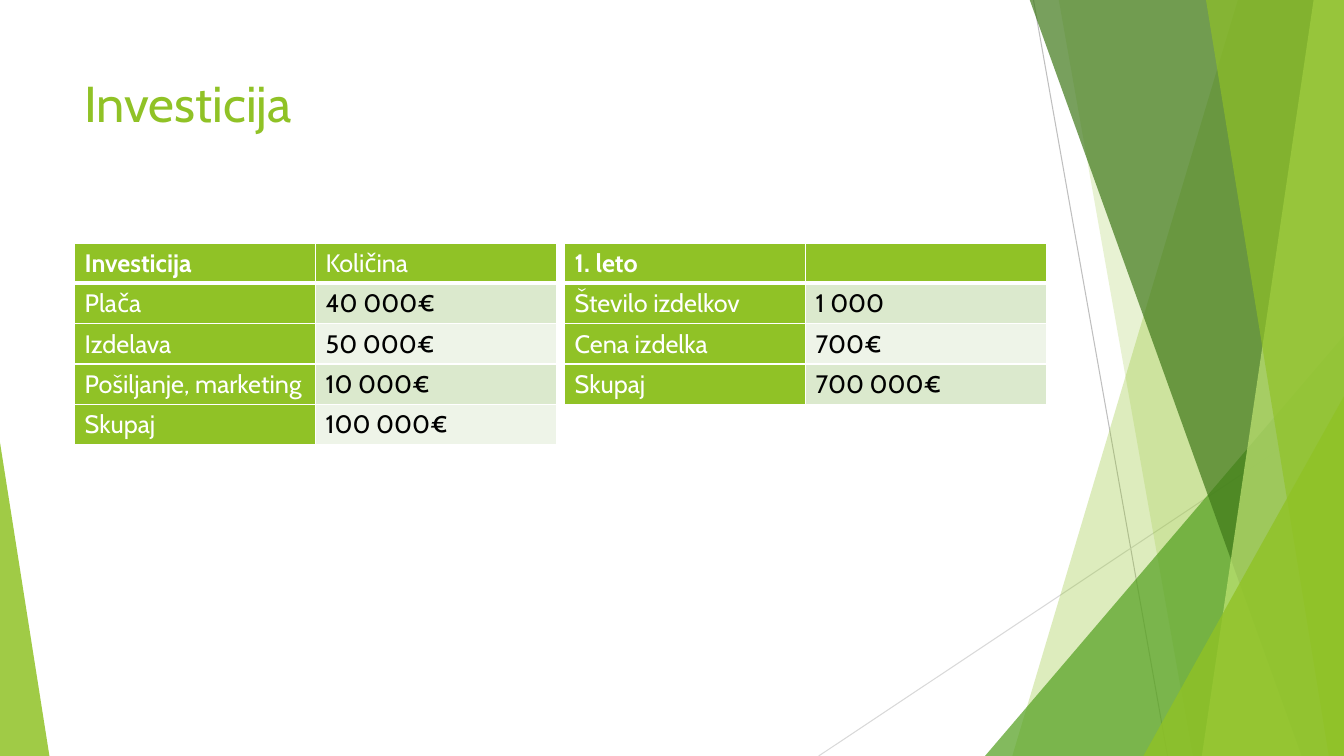
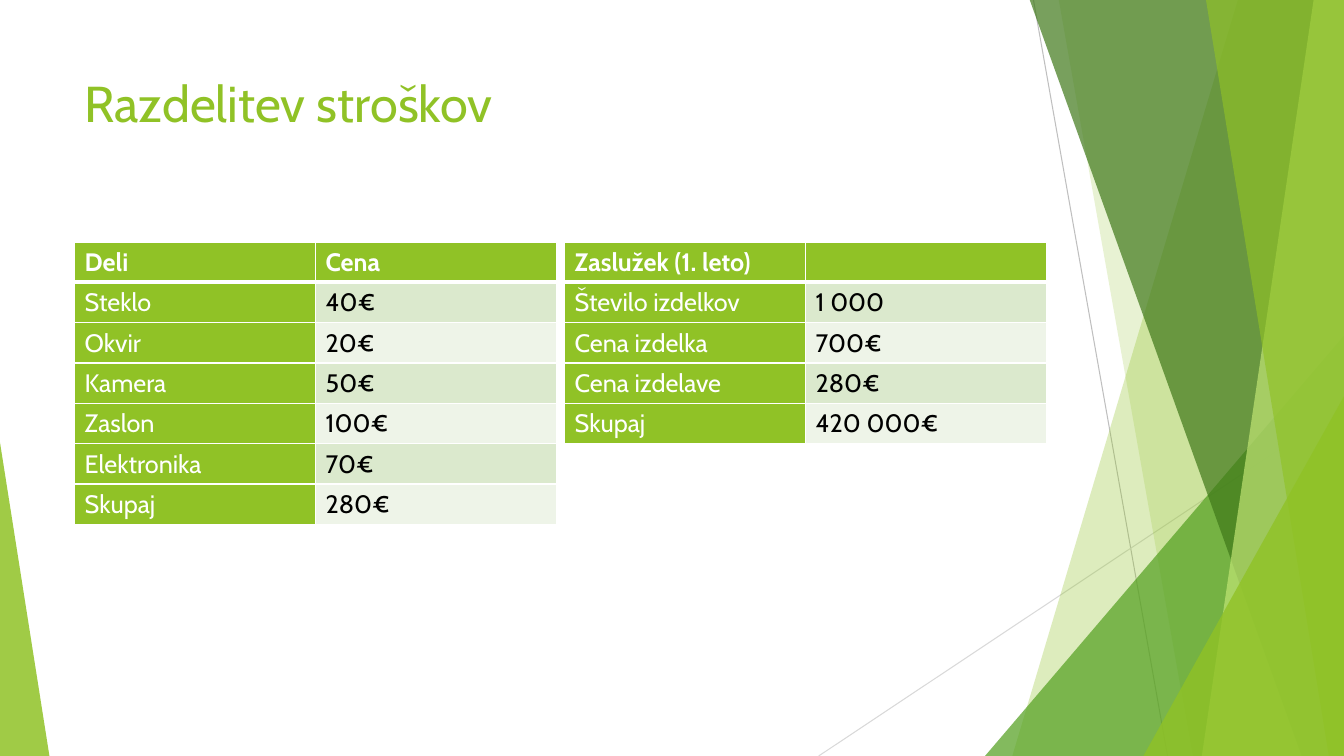
from lxml import etree
from pptx import Presentation
from pptx.dml.color import RGBColor as Rgb
from pptx.enum.shapes import MSO_CONNECTOR as Conn, MSO_SHAPE as Form
from pptx.enum.text import MSO_ANCHOR as Anchor
from pptx.oxml import parse_xml
from pptx.oxml.ns import nsdecls, qn
from pptx.util import Inches, Pt


class Theme:
    font = "Cabin"
    head, body = 36, 18
    green, leaf, moss, lime = "90C226", "54A021", "3F7819", "C0E474"
    tint, pale = "DBE9CD", "EEF4E8"
    white, black = "FFFFFF", "000000"
    grey, mist = "BFBFBF", "D9D9D9"


def write(frame, text, size=Theme.body, color=Theme.black, bold=False):
    run = frame.paragraphs[0].add_run()
    run.text = text
    font = run.font
    font.name, font.size, font.bold = Theme.font, Pt(size), bold
    font.color.rgb = Rgb.from_string(color)


def paint(shape, color, alpha):
    shape.shadow.inherit = False
    shape.line.fill.background()
    shape.fill.solid()
    shape.fill.fore_color.rgb = Rgb.from_string(color)
    tone = shape.fill._xPr.find(qn("a:solidFill"))[0]
    etree.SubElement(tone, qn("a:alpha"), val=str(alpha * 1000))


WIDE, HIGH = 13.33, 7.5
TOP = -0.01

# Backdrop: thin lines, then bands and wedges from back to front
LINES = [
    (10.25, 0, 11.58, HIGH, Theme.grey),
    (WIDE, 4.03, 8.12, HIGH, Theme.mist),
]
# band: top left x, bottom left x; wedge: left, top, width, apex
ART = [
    ("band", (12.28, 10.04), Theme.green, 30),
    ("band", (10.5, 11.83), Theme.green, 20),
    ("wedge", (9.77, 3.33, 3.56, 1), Theme.leaf, 72),
    ("band", (10.21, 12.91), Theme.moss, 70),
    ("band", (13.03, 11.92), Theme.lime, 70),
    ("band", (11.96, 13.18), Theme.green, 65),
    ("wedge", (11.34, 3.93, 1.99, 1), Theme.green, 80),
    ("wedge", (0, 4.39, 0.49, 0), Theme.green, 85),
]

# Tables: left edge, count of bold heads, rows
LEFT, RIGHT = 0.74, 5.6
COL, ROW = 2.39, 0.4
SLIDES = [
    ("Investicija", 2.41, [
        (LEFT, 1, [
            ("Investicija", "Količina"),
            ("Plača", "40 000€"),
            ("Izdelava", "50 000€"),
            ("Pošiljanje, marketing", "10 000€"),
            ("Skupaj", "100 000€"),
        ]),
        (RIGHT, 1, [
            ("1. leto", ""),
            ("Število izdelkov", "1 000"),
            ("Cena izdelka", "700€"),
            ("Skupaj", "700 000€"),
        ]),
    ]),
    ("Razdelitev stroškov", 2.4, [
        (LEFT, 2, [
            ("Deli", "Cena"),
            ("Steklo", "40€"),
            ("Okvir", "20€"),
            ("Kamera", "50€"),
            ("Zaslon", "100€"),
            ("Elektronika", "70€"),
            ("Skupaj", "280€"),
        ]),
        (RIGHT, 1, [
            ("Zaslužek (1. leto)", ""),
            ("Število izdelkov", "1 000"),
            ("Cena izdelka", "700€"),
            ("Cena izdelave", "280€"),
            ("Skupaj", "420 000€"),
        ]),
    ]),
]

deck = Presentation()
deck.slide_width, deck.slide_height = Inches(WIDE), Inches(HIGH)

for title, top, tables in SLIDES:
    shapes = deck.slides.add_slide(deck.slide_layouts[6]).shapes

    # Thin lines
    for *ends, color in LINES:
        line = shapes.add_connector(Conn.STRAIGHT, *map(Inches, ends))
        line.line.color.rgb = Rgb.from_string(color)
        line.line.width = Pt(0.75)
        etree.SubElement(line._element.spPr, qn("a:effectLst"))

    # Bands and wedges
    for kind, place, color, alpha in ART:
        if kind == "band":
            start, base = place
            pen = shapes.build_freeform(Inches(start), Inches(TOP))
            ends = [(WIDE, TOP), (WIDE, HIGH), (base, HIGH)]
            pen.add_line_segments([(Inches(x), Inches(y)) for x, y in ends])
            shape = pen.convert_to_shape()
        else:
            x, y, width, apex = place
            shape = shapes.add_shape(
                Form.ISOSCELES_TRIANGLE, Inches(x), Inches(y),
                Inches(width), Inches(HIGH - y))
            shape.adjustments[0] = apex
        paint(shape, color, alpha)

    # Title
    box = shapes.add_textbox(
        Inches(LEFT), Inches(0.67), Inches(9.4), Inches(1.44))
    box.text_frame.word_wrap = True
    box.text_frame.vertical_anchor = Anchor.TOP
    write(box.text_frame, title, size=Theme.head, color=Theme.green)

    # Tables
    for left, heads, rows in tables:
        grid = shapes.add_table(
            len(rows), 2, Inches(left), Inches(top),
            Inches(2 * COL), Inches(ROW * len(rows))).table
        grid.first_col = True
        for r, row in enumerate(rows):
            grid.rows[r].height = Inches(ROW)
            for c, text in enumerate(row):
                cell = grid.cell(r, c)
                label = r == 0 or c == 0
                # White rules, thicker under the header
                for side in "LRTB":
                    thick = (r, side) in [(0, "B"), (1, "T")]
                    cell._tc.get_or_add_tcPr().append(parse_xml(
                        f'<a:ln{side} {nsdecls("a")} w="{Pt(3 if thick else 1)}">'
                        f'<a:solidFill><a:srgbClr val="{Theme.white}"/>'
                        f'</a:solidFill></a:ln{side}>'))
                stripe = Theme.tint if r % 2 else Theme.pale
                cell.fill.solid()
                cell.fill.fore_color.rgb = Rgb.from_string(
                    Theme.green if label else stripe)
                if text:
                    write(cell.text_frame, text,
                          color=Theme.white if label else Theme.black,
                          bold=r == 0 and c < heads)

deck.save("out.pptx")
